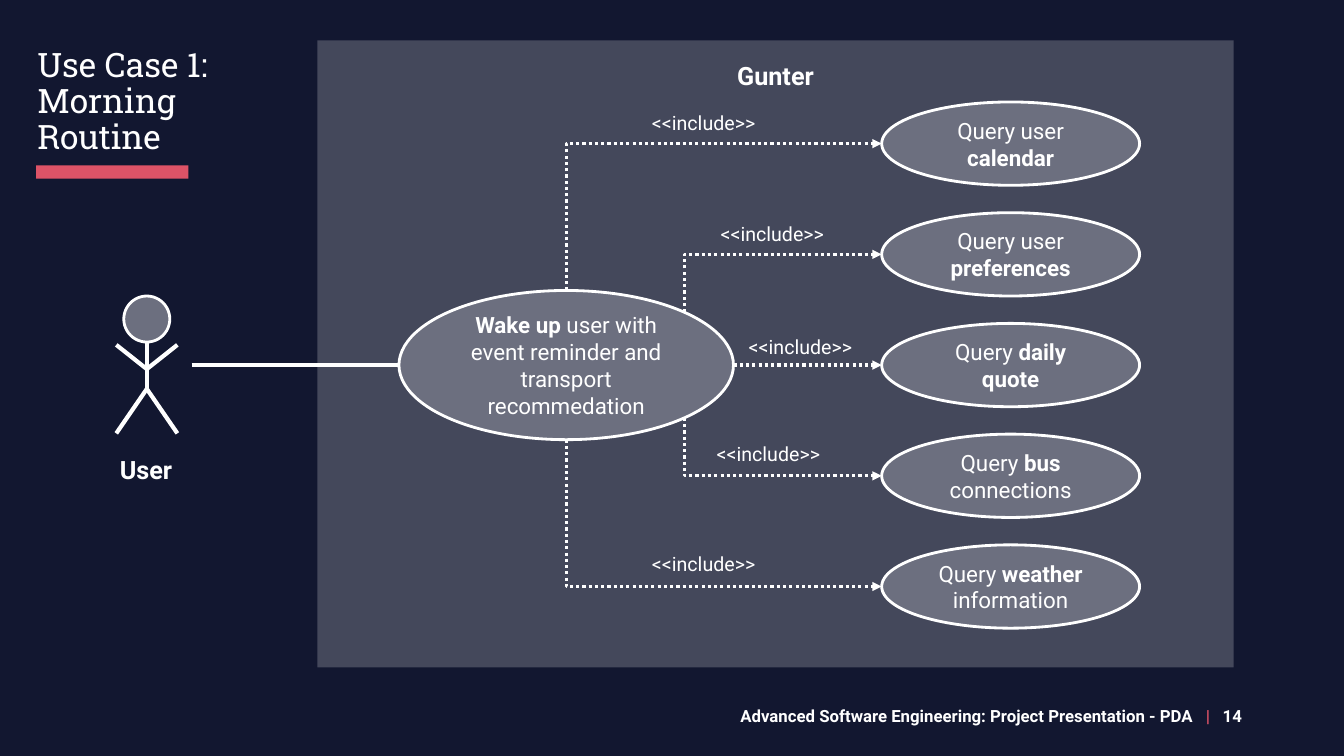
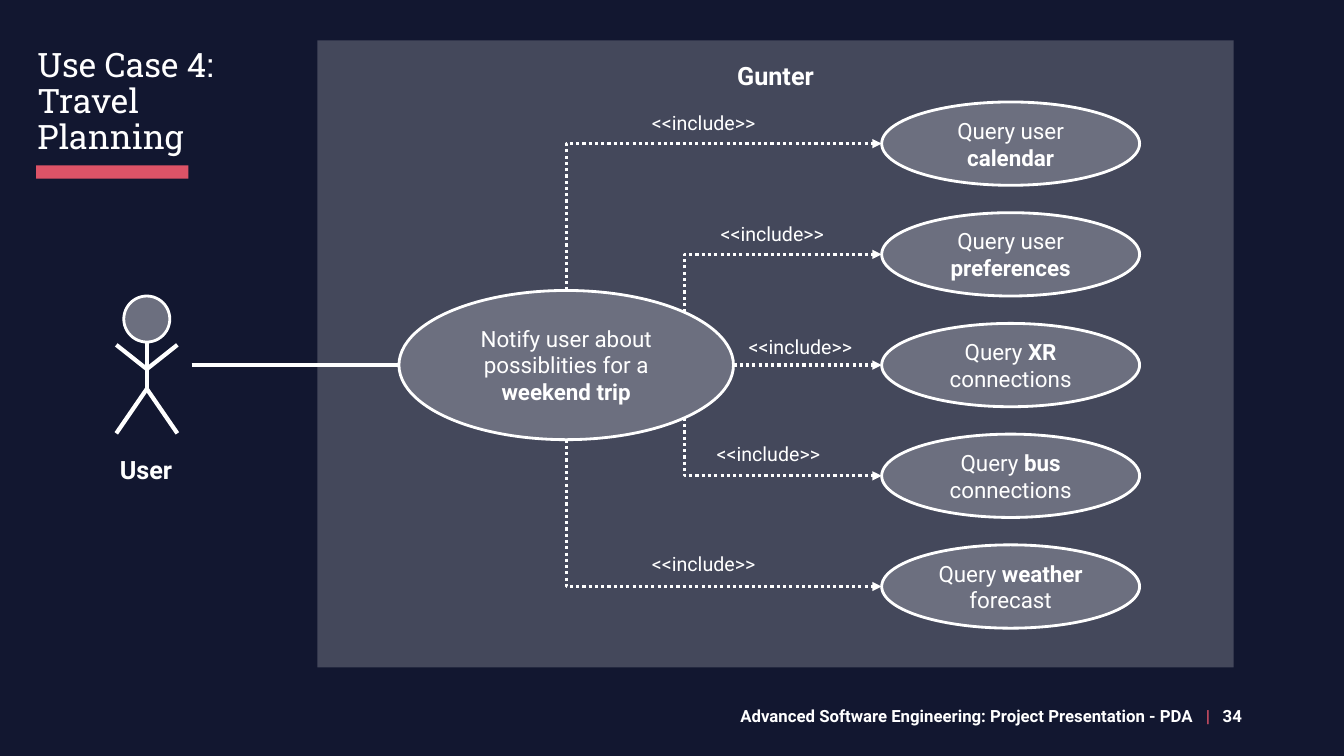
from math import cos, pi, sin

from lxml import etree
from pptx import Presentation
from pptx.dml.color import RGBColor
from pptx.enum import dml, shapes, text
from pptx.oxml import ns
from pptx.util import Cm, Pt

NAVY, WHITE, SLATE, CORAL = "121730", "FFFFFF", "6C6F7F", "DD5367"
FOOTER = "Advanced Software Engineering: Project Presentation - PDA   "
SYSTEM, ACTOR, RELATION = "Gunter", "User", "<<include>>"

# Each use case is a list of (text, bold) runs.
CALENDAR = [("Query user ", False), ("calendar", True)]
PREFERENCES = [("Query user ", False), ("preferences", True)]
TRANSIT = [("Query ", False), ("bus ", True), ("connections", False)]
SLIDES = [
    {
        "title": "Use Case 1: Morning Routine",
        "number": "14",
        "main": [("Wake up ", True),
                 ("user with event reminder and transport recommedation", False)],
        "included": [
            CALENDAR,
            PREFERENCES,
            [("Query ", False), ("daily quote", True)],
            TRANSIT,
            [("Query ", False), ("weather ", True), ("information", False)],
        ],
    },
    {
        "title": "Use Case 4: Travel Planning",
        "number": "34",
        "main": [("Notify user about possiblities for a ", False),
                 ("weekend trip", True)],
        "included": [
            CALENDAR,
            PREFERENCES,
            [("Query ", False), ("XR ", True), ("connections", False)],
            TRANSIT,
            [("Query ", False), ("weather ", True), ("forecast", False)],
        ],
    },
]

# All positions and sizes are in centimetres.
PANEL = (8, 1.02, 23.09, 15.8)
MAIN_CENTRE, MAIN_SIZE = (14.27, 9.2), (8.43, 3.76)
INCLUDED_LEFT, INCLUDED_SIZE, INCLUDED_PITCH = 22.22, (6.5, 2.1), 2.79
LABEL_SIZE = (3.48, 0.86)
LABEL_CORNERS = [(16.18, 2.67), (17.91, 5.46), (18.62, 8.31), (17.81, 11), (16.18, 13.79)]
ARROW_ANGLES = [-pi / 2, -pi / 4, 0, pi / 4, pi / 2]
ACTOR_X, ACTOR_REACH = 3.7, 0.77
NECK_Y, SHOULDER_Y, HAND_Y, HIP_Y, FOOT_Y = 8.5, 9.3, 8.69, 9.8, 10.92

BODY = {"name": "Roboto", "size": Pt(16), "bold": False}
HEADING = BODY | {"size": Pt(18), "bold": True}
LABEL = BODY | {"size": Pt(14)}
FOOTER_FONT = BODY | {"size": Pt(12), "bold": True}
TITLE = BODY | {"name": "Roboto Slab", "size": Pt(24)}
LEFT, CENTER, RIGHT = text.PP_ALIGN.LEFT, text.PP_ALIGN.CENTER, text.PP_ALIGN.RIGHT
TOP, MIDDLE = text.MSO_ANCHOR.TOP, text.MSO_ANCHOR.MIDDLE


def rgb(colour):
    return RGBColor.from_string(colour)


def lengths(values):
    return [Cm(value) for value in values]


def write(shape, runs, font, align=LEFT, anchor=TOP, spacing=1.0):
    """Fill a shape with one paragraph of (text, bold[, colour]) runs."""
    frame = shape.text_frame
    frame.word_wrap = True
    frame.vertical_anchor = anchor
    paragraph = frame.paragraphs[0]
    paragraph.alignment = align
    paragraph.line_spacing = spacing
    for words, bold, *colour in runs:
        run = paragraph.add_run()
        run.text = words
        for name, value in (font | {"bold": bold}).items():
            setattr(run.font, name, value)
        run.font.color.rgb = rgb(colour[0] if colour else WHITE)


def add_text(slide, box, runs, font, **layout):
    write(slide.shapes.add_textbox(*lengths(box)), runs, font, **layout)


def add_filled(parent, kind, box, fill, outlined=False):
    shape = parent.shapes.add_shape(kind, *lengths(box))
    shape.shadow.inherit = False
    shape.fill.solid()
    shape.fill.fore_color.rgb = rgb(fill)
    if outlined:
        shape.line.color.rgb = rgb(WHITE)
        shape.line.width = Pt(2)
    else:
        shape.line.fill.background()
    return shape


def add_ellipse(parent, box):
    return add_filled(parent, shapes.MSO_SHAPE.OVAL, box, SLATE, outlined=True)


def add_line(parent, start, end, width=2.25, kind=shapes.MSO_CONNECTOR.STRAIGHT):
    connector = parent.shapes.add_connector(kind, *lengths((*start, *end)))
    connector.line.color.rgb = rgb(WHITE)
    connector.line.width = Pt(width)
    etree.SubElement(connector._element.spPr, ns.qn("a:effectLst"))
    return connector


def add_include_arrow(slide, start, end):
    """Draw a dotted arrow that leaves vertically and arrives horizontally."""
    (x1, y1), (x2, y2) = start, end
    rise = abs(y2 - y1)
    if rise < 0.01:
        connector = add_line(slide, start, end)
    else:
        # The elbow's frame is turned a quarter, so its sides are swapped.
        middle_x, middle_y, run = (x1 + x2) / 2, (y1 + y2) / 2, x2 - x1
        connector = add_line(slide,
                             (middle_x - rise / 2, middle_y - run / 2),
                             (middle_x + rise / 2, middle_y + run / 2),
                             kind=shapes.MSO_CONNECTOR.ELBOW)
        properties = connector._element.spPr
        properties.find(ns.qn("a:prstGeom")).set("prst", "bentConnector2")
        frame = properties.find(ns.qn("a:xfrm"))
        upward = y2 < y1
        frame.set("rot", str((90 if upward else 270) * 60000))
        frame.set("flipH", "1")
        if upward:
            frame.set("flipV", "1")
    connector.line.dash_style = dml.MSO_LINE.ROUND_DOT
    outline = connector.line._get_or_add_ln()
    etree.SubElement(outline, ns.qn("a:tailEnd"), type="triangle")


def add_title(slide, title):
    add_text(slide, (0.69, 0.86, 5.21, 3.45), [(title, False)], TITLE,
             anchor=MIDDLE, spacing=0.9)
    add_filled(slide, shapes.MSO_SHAPE.RECTANGLE, (0.91, 4.17, 3.84, 0.33), CORAL)


def add_footer(slide, number):
    runs = [(FOOTER, True), ("|   ", True, CORAL), (number, True)]
    add_text(slide, (2.34, 17.65, 29.21, 1.02), runs, FOOTER_FONT, align=RIGHT)


def add_system_panel(slide):
    panel = add_filled(slide, shapes.MSO_SHAPE.RECTANGLE, PANEL, WHITE)
    colour = panel._element.spPr.find(".//" + ns.qn("a:srgbClr"))
    etree.SubElement(colour, ns.qn("a:alpha"), val="21000")
    write(panel, [(SYSTEM, True)], HEADING, align=CENTER, spacing=1.5)


def add_actor(slide):
    figure = slide.shapes.add_group_shape()
    add_line(figure, (ACTOR_X, HIP_Y), (ACTOR_X, NECK_Y), 3)
    for side in (-ACTOR_REACH, ACTOR_REACH):
        add_line(figure, (ACTOR_X + side, FOOT_Y), (ACTOR_X, HIP_Y), 3)
        add_line(figure, (ACTOR_X, SHOULDER_Y), (ACTOR_X + side, HAND_Y), 3)
    add_ellipse(figure, (ACTOR_X - 0.58, 7.46, 1.16, 1.16))
    add_text(slide, (2.77, 11.33, 1.85, 1.02), [(ACTOR, True)], HEADING)


def add_use_cases(slide, main, included):
    (centre_x, centre_y), (width, height) = MAIN_CENTRE, MAIN_SIZE
    left = centre_x - width / 2
    ellipse = add_ellipse(slide, (left, centre_y - height / 2, width, height))
    write(ellipse, main, BODY, align=CENTER, anchor=MIDDLE)
    add_line(slide, (4.83, centre_y), (left, centre_y))

    rows = zip(included, ARROW_ANGLES, LABEL_CORNERS)
    for index, (runs, angle, corner) in enumerate(rows):
        row_y = centre_y + (index - len(included) // 2) * INCLUDED_PITCH
        top = row_y - INCLUDED_SIZE[1] / 2
        ellipse = add_ellipse(slide, (INCLUDED_LEFT, top, *INCLUDED_SIZE))
        write(ellipse, runs, BODY, align=CENTER, anchor=MIDDLE)
        start = (centre_x + width / 2 * cos(angle), centre_y + height / 2 * sin(angle))
        add_include_arrow(slide, start, (INCLUDED_LEFT, row_y))
        add_text(slide, (*corner, *LABEL_SIZE), [(RELATION, False)], LABEL)


def main():
    presentation = Presentation()
    presentation.slide_width, presentation.slide_height = lengths((33.87, 19.05))
    background = presentation.slide_master.background.fill
    background.solid()
    background.fore_color.rgb = rgb(NAVY)
    for content in SLIDES:
        slide = presentation.slides.add_slide(presentation.slide_layouts[6])
        add_footer(slide, content["number"])
        add_system_panel(slide)
        add_use_cases(slide, content["main"], content["included"])
        add_actor(slide)
        add_title(slide, content["title"])
    presentation.save("out.pptx")


if __name__ == "__main__":
    main()
